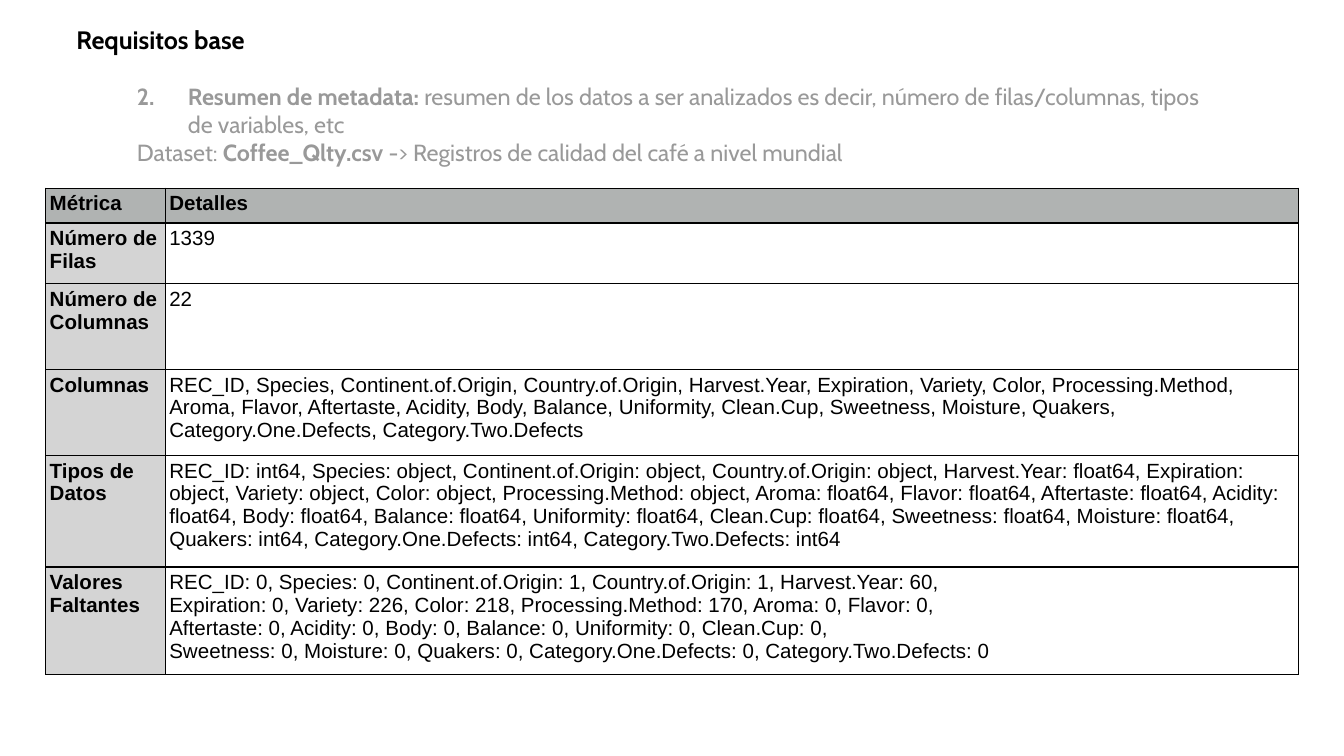
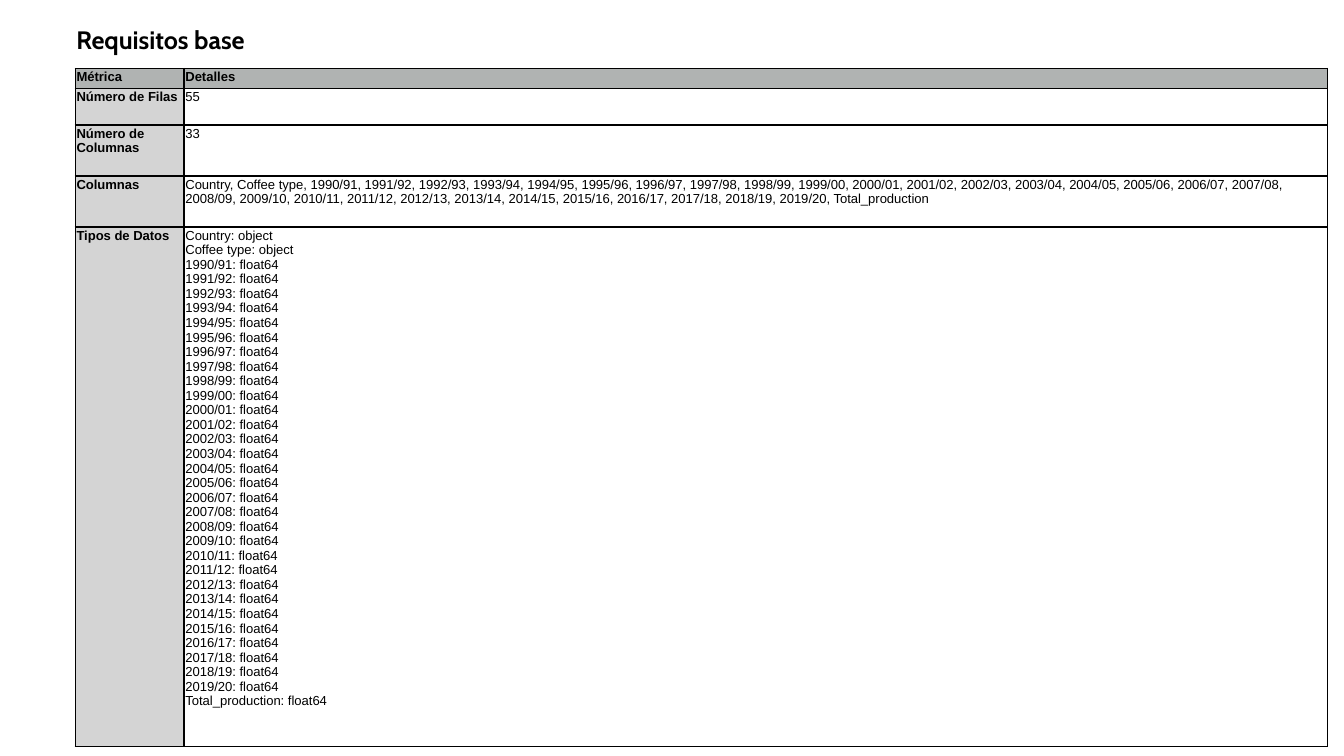
from lxml.etree import SubElement
from pptx import Presentation
from pptx.dml.color import RGBColor
from pptx.enum.text import MSO_AUTO_SIZE as AUTO, MSO_ANCHOR as ANCHOR
from pptx.oxml.ns import qn
from pptx.util import Inches, Pt

BLACK, GREY, HEAD_FILL, LABEL_FILL = "000000", "999999", "B0B3B2", "D4D4D4"
TITLE = dict(name="Cabin", size=Pt(13.5), bold=True, color=BLACK)
BODY = dict(name="Cabin", size=Pt(12.5), bold=False, color=GREY)
BODY_BOLD = BODY | dict(bold=True)
BORDER = Pt(0.75)

# Column name -> data type of each dataset
QUALITY = {
    "REC_ID": "int64",
    **dict.fromkeys(["Species", "Continent.of.Origin", "Country.of.Origin"], "object"),
    "Harvest.Year": "float64",
    **dict.fromkeys(["Expiration", "Variety", "Color", "Processing.Method"], "object"),
    **dict.fromkeys(["Aroma", "Flavor", "Aftertaste", "Acidity", "Body", "Balance",
                     "Uniformity", "Clean.Cup", "Sweetness", "Moisture"], "float64"),
    **dict.fromkeys(["Quakers", "Category.One.Defects", "Category.Two.Defects"], "int64"),
}
SEASONS = [f"{y}/{(y + 1) % 100:02d}" for y in range(1990, 2020)]
PRODUCTION = {
    **dict.fromkeys(["Country", "Coffee type"], "object"),
    **dict.fromkeys(SEASONS + ["Total_production"], "float64"),
}
MISSING = [
    "REC_ID: 0, Species: 0, Continent.of.Origin: 1, Country.of.Origin: 1, Harvest.Year: 60,",
    "Expiration: 0, Variety: 226, Color: 218, Processing.Method: 170, Aroma: 0, Flavor: 0,",
    "Aftertaste: 0, Acidity: 0, Body: 0, Balance: 0, Uniformity: 0, Clean.Cup: 0,",
    "Sweetness: 0, Moisture: 0, Quakers: 0, Category.One.Defects: 0, Category.Two.Defects: 0",
]


def rgb(value):
    return RGBColor.from_string(value)


def add_run(p, text, fmt):
    r = p.add_run()
    r.text = text
    for key, value in fmt.items():
        if key == "color":
            r.font.color.rgb = rgb(value)
        else:
            setattr(r.font, key, value)


def indent(p, left, first=0):
    pPr = p._p.get_or_add_pPr()
    pPr.set("marL", str(Inches(left)))
    pPr.set("indent", str(Inches(first)))
    return pPr


def number(p, start, color):
    pPr = indent(p, 0.83, -0.38)
    clr = SubElement(pPr, qn("a:buClr"))
    SubElement(clr, qn("a:srgbClr"), val=color)
    SubElement(pPr, qn("a:buAutoNum"), type="arabicPeriod", startAt=str(start))


def add_title(slide, height):
    box = slide.shapes.add_textbox(*map(Inches, (0.47, 0.08, 8.7, height)))
    tf = box.text_frame
    margins = dict.fromkeys(["margin_left", "margin_top", "margin_right", "margin_bottom"],
                            Inches(0.1))
    for key, value in margins.items():
        setattr(tf, key, value)
    tf.word_wrap = True
    tf.auto_size = AUTO.SHAPE_TO_FIT_TEXT
    add_run(tf.paragraphs[0], "Requisitos base", TITLE)
    return tf


def add_summary(tf):
    # Numbered requirement
    p = tf.add_paragraph()
    p.space_before = Pt(15)
    number(p, 2, GREY)
    add_run(p, "Resumen de metadata:", BODY_BOLD)
    add_run(p, " resumen de los datos a ser analizados es decir, número de "
               "filas/columnas, tipos de variables, etc", BODY)
    # Dataset line
    p = tf.add_paragraph()
    indent(p, 0.45)
    add_run(p, "Dataset: ", BODY)
    add_run(p, "Coffee_Qlty.csv", BODY_BOLD)
    add_run(p, " -> Registros de calidad del café a nivel mundial", BODY)


def add_borders(cell):
    tcPr = cell._tc.get_or_add_tcPr()
    for side in ("lnL", "lnR", "lnT", "lnB"):
        ln = SubElement(tcPr, qn(f"a:{side}"), w=str(BORDER))
        fill = SubElement(ln, qn("a:solidFill"))
        SubElement(fill, qn("a:srgbClr"), val=BLACK)


def fill_cell(cell, lines, fill, bold, size, margin):
    for side in ("left", "top", "right", "bottom"):
        setattr(cell, f"margin_{side}", Inches(margin))
    cell.vertical_anchor = ANCHOR.TOP
    add_borders(cell)
    if fill:
        cell.fill.solid()
        cell.fill.fore_color.rgb = rgb(fill)
    else:
        cell.fill.background()
    tf = cell.text_frame
    for i, line in enumerate(lines):
        p = tf.add_paragraph() if i else tf.paragraphs[0]
        add_run(p, line, dict(name="Arial", size=Pt(size), bold=bold, color=BLACK))


def add_metrics(slide, left, top, widths, heights, rows, size, margin):
    rows = [("Métrica", ["Detalles"])] + rows
    box = map(Inches, (left, top, sum(widths), sum(heights)))
    table = slide.shapes.add_table(len(rows), 2, *box).table
    table.first_row = table.horz_banding = False
    for col, width in zip(table.columns, widths):
        col.width = Inches(width)
    for i, (label, details) in enumerate(rows):
        table.rows[i].height = Inches(heights[i])
        head = i == 0
        fill_cell(table.cell(i, 0), [label], HEAD_FILL if head else LABEL_FILL,
                  True, size, margin)
        fill_cell(table.cell(i, 1), details, HEAD_FILL if head else None,
                  head, size, margin)


def dataset_rows(count, types):
    """Metric rows and type list that follow from the column types."""
    return [
        ("Número de Filas", [str(count)]),
        ("Número de Columnas", [str(len(types))]),
        ("Columnas", [", ".join(types)]),
    ], [f"{name}: {kind}" for name, kind in types.items()]


def quality_slide(slide):
    add_summary(add_title(slide, 1.27))
    rows, types = dataset_rows(1339, QUALITY)
    rows += [("Tipos de Datos", [", ".join(types)]), ("Valores Faltantes", MISSING)]
    add_metrics(slide, 0.34, 1.4, (0.89, 8.43), (0.26, 0.45, 0.64, 0.64, 0.83, 0.8),
                rows, size=11, margin=0.03)


def production_slide(slide):
    add_title(slide, 0.43)
    rows, types = dataset_rows(55, PRODUCTION)
    rows.append(("Tipos de Datos", types))
    add_metrics(slide, 0.56, 0.51, (0.81, 8.51), (0.15, 0.27, 0.38, 0.38, 3.86),
                rows, size=7, margin=0.01)


def main():
    prs = Presentation()
    prs.slide_width = Inches(10)
    prs.slide_height = prs.slide_width * 9 // 16  # 16:9
    for build in (quality_slide, production_slide):
        build(prs.slides.add_slide(prs.slide_layouts[6]))
    prs.save("out.pptx")


if __name__ == "__main__":
    main()
